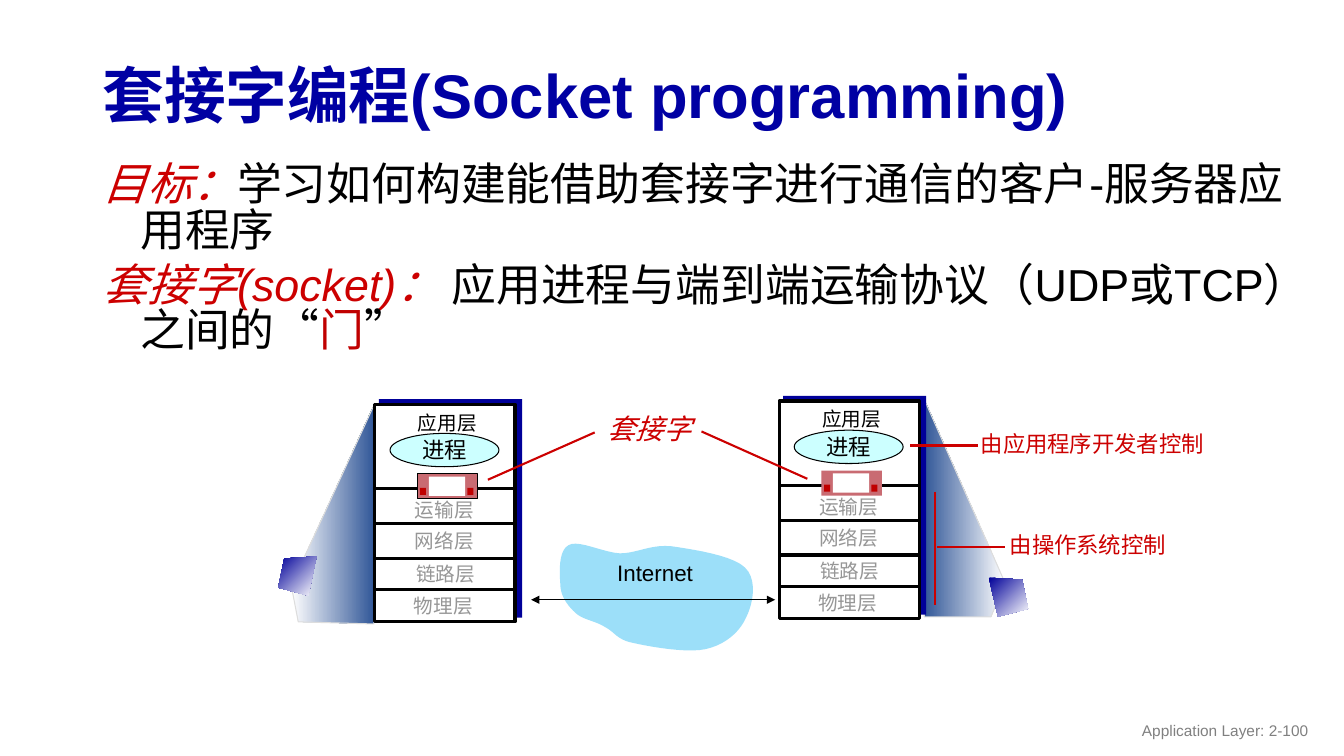
"""Build the socket programming slide with two protocol stacks joined by the Internet."""
import pptx
import pptx.util
import pptx.dml.color
import pptx.enum.shapes
import pptx.enum.text
import pptx.oxml.ns
import lxml.etree

Pt = pptx.util.Pt
RGB = pptx.dml.color.RGBColor.from_string
SHAPE = pptx.enum.shapes.MSO_SHAPE
ALIGN = pptx.enum.text.PP_ALIGN
ANCHOR = pptx.enum.text.MSO_ANCHOR
qn = pptx.oxml.ns.qn
COLORS = {
    "title": "0000A3", "red": "CC0000", "door_red": "C00000", "black": "000000",
    "white": "FFFFFF", "gray": "969696", "footer": "808080", "navy": "000099",
    "cone": "2F5597", "cone_line": "DDDDDD", "cloud": "9CDFF9",
    "process": "CCFFFF", "door": "C96B72",
}

prs = pptx.Presentation()
prs.slide_width, prs.slide_height = Pt(960), Pt(540)
s = prs.slides.add_slide(prs.slide_layouts[6])


def add_text(x, y, w, h, paragraphs, size, align=ALIGN.LEFT, spacing=1.0,
             wrap=True, anchor=ANCHOR.TOP, sp=None):
    """Write paragraphs of (text, color, italic) runs in a new text box or in sp."""
    sp = sp or s.shapes.add_textbox(Pt(x), Pt(y), Pt(w), Pt(h))
    tf = sp.text_frame
    tf.word_wrap, tf.vertical_anchor = wrap, anchor
    for i, runs in enumerate(paragraphs):
        p = tf.add_paragraph() if i else tf.paragraphs[0]
        p.alignment, p.line_spacing = align, spacing
        for text, color, italic in runs:
            r = p.add_run()
            r.text = text
            r.font.name, r.font.size, r.font.italic = "Arial", Pt(size), italic
            r.font.color.rgb = RGB(COLORS[color])
    return tf


def add_line(x1, y1, x2, y2, color, width):
    """Draw a straight line without shadow."""
    line = s.shapes.add_connector(pptx.enum.shapes.MSO_CONNECTOR.STRAIGHT,
                                  Pt(x1), Pt(y1), Pt(x2), Pt(y2))
    line.line.color.rgb, line.line.width = RGB(COLORS[color]), Pt(width)
    lxml.etree.SubElement(line._element.spPr, qn("a:effectLst"))
    return line


tf = add_text(66.2, 35.3, 828, 70.6, [[("套接字编程(Socket programming)", "title", False)]],
              44, spacing=0.9, anchor=ANCHOR.MIDDLE)
tf.paragraphs[0].runs[0].font.bold = True

tf = add_text(66.2, 113.8, 876.2, 121, [
    [("目标：", "red", True),
     ("学习如何构建能借助套接字进行通信的客户-服务器应用程序", "black", False)],
    [("套接字(socket)： ", "red", True),
     ("应用进程与端到端运输协议（UDP或TCP）之间的“", "black", False),
     ("门", "door_red", False), ("”", "black", False)],
], 32, spacing=0.85)
for p in tf.paragraphs:
    pPr = p._p.get_or_add_pPr()
    pPr.set("marL", str(Pt(27)))
    pPr.set("indent", str(-Pt(27)))
tf.paragraphs[1].space_before = Pt(6.4)

cloud_start = (400.3, 417.6)
cloud_curves = [
    ((399.6, 409), (398.9, 393.1), (406.1, 389.5)),
    ((412.6, 385.2), (430.6, 394.6), (442.8, 395.3)),
    ((455, 395.3), (464.4, 388.8), (479.5, 390.2)),
    ((494.6, 392.4), (523.4, 396.7), (532.1, 405.4)),
    ((541.4, 414), (537.8, 432), (532.8, 441.4)),
    ((528.5, 451.4), (517.7, 460.8), (504, 463.7)),
    ((491, 466.6), (465.1, 462.2), (452.9, 459.4)),
    ((440.6, 457.2), (439.2, 451.4), (432, 447.8)),
    ((425.5, 443.5), (416.2, 442.8), (411.1, 437.8)),
    ((405.4, 432.7), (400.3, 425.5), (400.3, 417.6)),
]
cloud = [cloud_start]
for b, c, d in cloud_curves:
    a = cloud[-1]
    for t in [i / 10 for i in range(1, 11)]:
        cloud.append(tuple((1 - t) ** 3 * a[k] + 3 * t * (1 - t) ** 2 * b[k]
                           + 3 * t * t * (1 - t) * c[k] + t ** 3 * d[k] for k in (0, 1)))

cone_right = [(717.8, 416.2), (659.5, 283.7), (660.2, 440.6), (707.8, 440.6)]
cone_left = [(208.1, 418.3), (267.8, 288), (267.1, 445.7), (213.1, 444.2)]
lens_left = [(226.1, 397.4), (203, 398.9), (198.7, 419.8), (220.3, 425.5)]
lens_right = [(706.3, 412.6), (730.1, 414), (734.4, 434.9), (712.8, 440.6)]
outlines = [
    (cone_right, ("white", "cone"), 180, "cone_line"),
    (cone_left, ("white", "cone"), 0, "cone_line"),
    (cloud, ("cloud",), 0, None),
    (lens_left, ("navy", "white"), 315, None),
    (lens_right, ("navy", "white"), 315, None),
]
for points, fills, angle, edge in outlines:
    builder = s.shapes.build_freeform(Pt(points[0][0]), Pt(points[0][1]))
    builder.add_line_segments([(Pt(x), Pt(y)) for x, y in points[1:]], close=True)
    sp = builder.convert_to_shape()
    sp.shadow.inherit = False
    if len(fills) == 2:
        sp.fill.gradient()
        sp.fill.gradient_angle = angle
        for i, stop in enumerate(sp.fill.gradient_stops):
            stop.position, stop.color.rgb = i, RGB(COLORS[fills[i]])
    else:
        sp.fill.solid()
        sp.fill.fore_color.rgb = RGB(COLORS[fills[0]])
    if edge:
        sp.line.color.rgb, sp.line.width = RGB(COLORS[edge]), Pt(0.75)
    else:
        sp.line.fill.background()

layers = [("应用层", 0, -0.7, "black"), ("运输层", -2.2, 61.9, "gray"),
          ("网络层", -2.2, 84.2, "gray"), ("链路层", -1.4, 107.3, "gray"),
          ("物理层", -2.9, 130.3, "gray")]
for host_x, host_y, door_edge in [(267.8, 288.7, 0.75), (556.5, 286.4, 0)]:
    parts = [
        (SHAPE.RECTANGLE, 2.9, -3.6, 102.2, 156.2, "navy", 0),
        (SHAPE.RECTANGLE, 0, 0, 100.1, 155.5, "white", 2.25),
        (SHAPE.OVAL, 10.8, 20.9, 77.8, 23.8, "process", 0.75),
        (SHAPE.RECTANGLE, 30.2, 49.7, 43.2, 18, "door", door_edge),
        (SHAPE.RECTANGLE, 38.5, 51.8, 25.9, 13.7, "white", 0),
        (SHAPE.RECTANGLE, 66, 59.8, 4.3, 5, "door_red", 0),
        (SHAPE.RECTANGLE, 32.2, 59.8, 4.3, 5, "door_red", 0),
    ]
    for kind, x, y, w, h, color, edge in parts:
        sp = s.shapes.add_shape(kind, Pt(host_x + x), Pt(host_y + y), Pt(w), Pt(h))
        sp.shadow.inherit = False
        sp.fill.solid()
        sp.fill.fore_color.rgb = RGB(COLORS[color])
        if edge:
            sp.line.color.rgb, sp.line.width = RGB(COLORS["black"]), Pt(edge)
        else:
            sp.line.fill.background()
        if kind == SHAPE.OVAL:
            add_text(0, 0, 0, 0, [[("进程", "black", False)]], 16, ALIGN.CENTER,
                     wrap=False, anchor=ANCHOR.MIDDLE, sp=sp)
            for y in (60.5, 85.5, 110, 132.5):
                add_line(host_x + 0.7, host_y + y, host_x + 100.1, host_y + y, "black", 2.25)
    for name, x, y, color in layers:
        add_text(host_x + x, host_y + y, 103.7, 25.2, [[(name, color, False)]], 14,
                 ALIGN.CENTER, spacing=1.1)

add_text(433.4, 396, 69.1, 26.6, [[("Internet", "black", False)]], 16, ALIGN.CENTER, wrap=False)
add_text(714.2, 375.8, 127.4, 26.6, [[("由操作系统控制", "red", False)]], 16, wrap=False)
add_text(693.4, 306, 176.4, 24.5, [[("由应用程序开发者控制", "red", False)]], 16,
         spacing=0.9, wrap=False)
add_text(427, 293, 74.9, 28.8, [[("套接字", "red", True)]], 20, spacing=0.9, wrap=False)

for x1, y1, x2, y2 in [(698.4, 318.2, 650.2, 318.2), (668.2, 351.4, 668.2, 432),
                       (717.8, 391, 669.6, 391), (348.5, 342.7, 424.8, 308.9),
                       (576.7, 342, 501.1, 308.2)]:
    add_line(x1, y1, x2, y2, "red", 1.5)

link = add_line(379.4, 428.4, 553.7, 428.4, "black", 0.75)
for end in ("a:headEnd", "a:tailEnd"):
    lxml.etree.SubElement(link.line._get_or_add_ln(), qn(end)).set("type", "triangle")

add_text(725.8, 507.6, 216, 28.8, [[("Application Layer: 2-100", "footer", False)]], 11,
         ALIGN.RIGHT, anchor=ANCHOR.MIDDLE)

prs.save("out.pptx")
